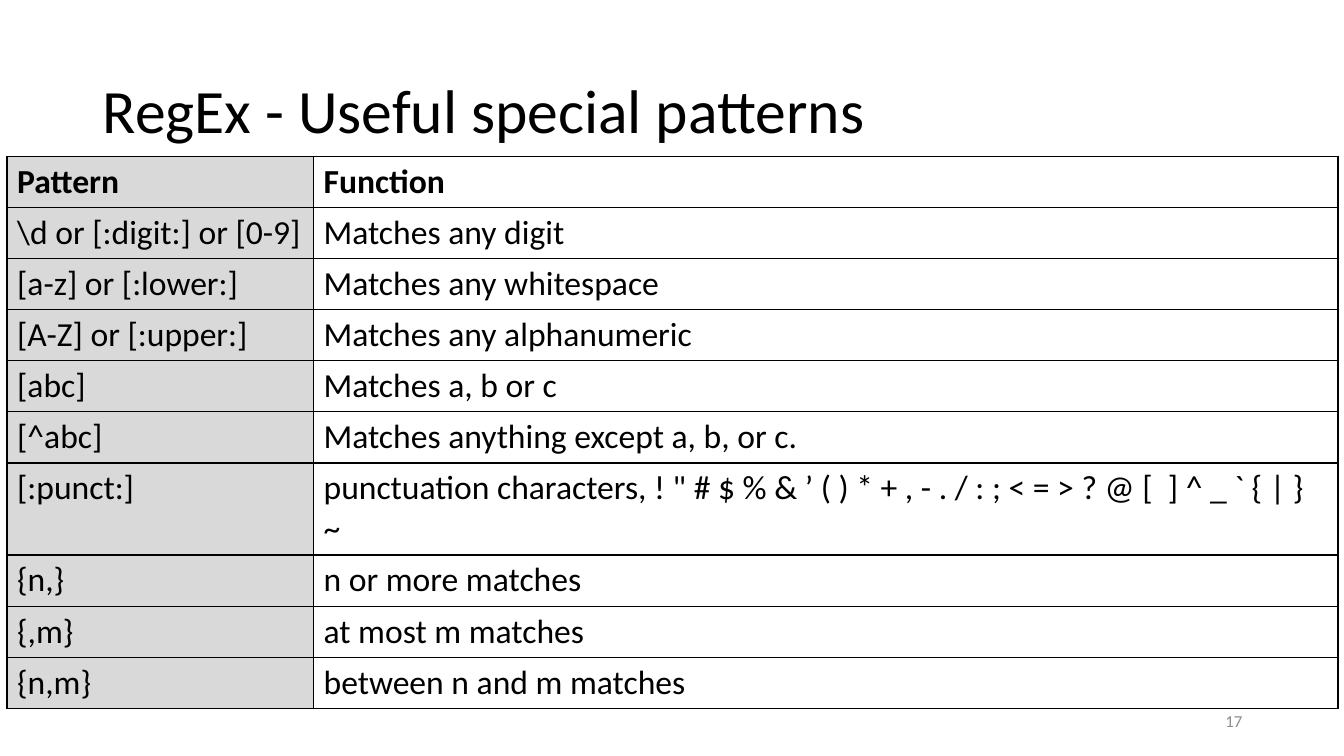
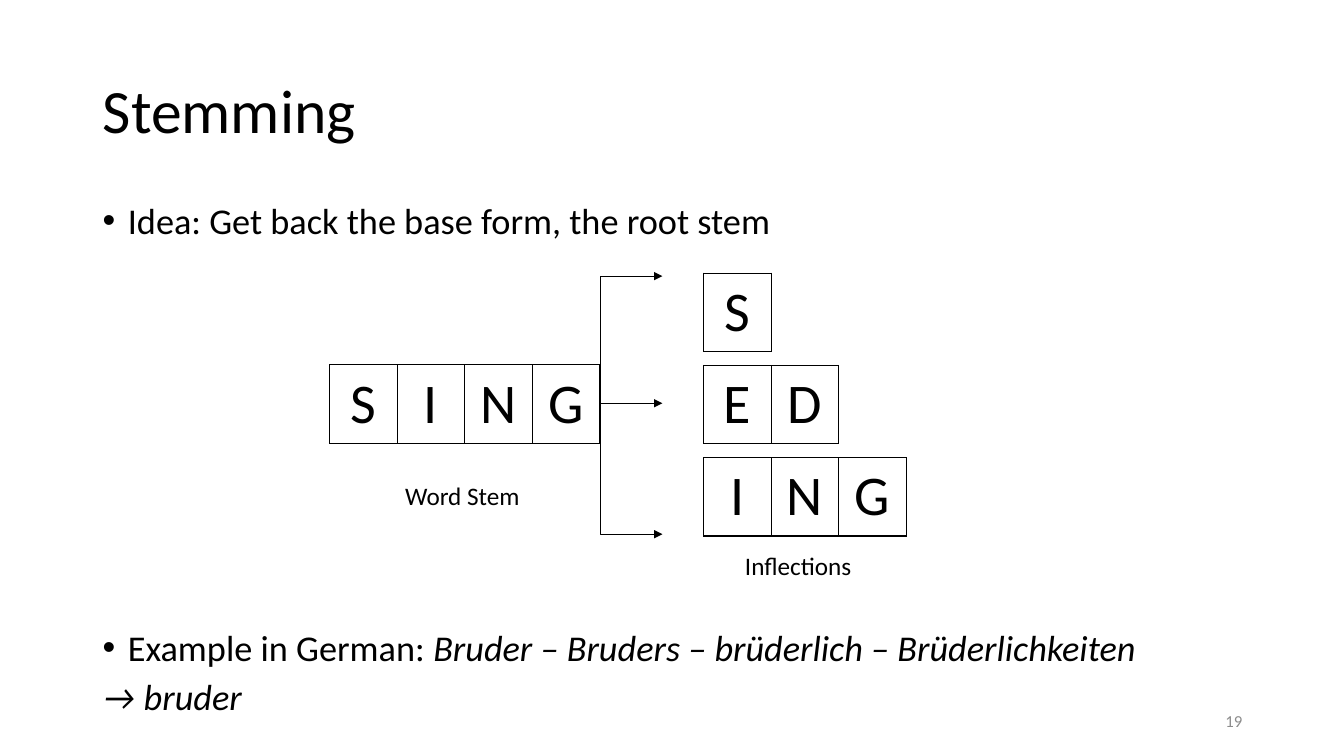
from lxml import etree
from pptx import Presentation
from pptx.dml.color import RGBColor
from pptx.enum.shapes import MSO_CONNECTOR
from pptx.enum.text import MSO_ANCHOR, MSO_AUTO_SIZE, PP_ALIGN
from pptx.oxml.ns import qn
from pptx.util import Inches, Pt

STRAIGHT, ELBOW = MSO_CONNECTOR.STRAIGHT, MSO_CONNECTOR.ELBOW
MIDDLE, TOP = MSO_ANCHOR.MIDDLE, MSO_ANCHOR.TOP
LEFT, CENTER, RIGHT = PP_ALIGN.LEFT, PP_ALIGN.CENTER, PP_ALIGN.RIGHT
NO_AUTOFIT = MSO_AUTO_SIZE.NONE

FONT = "Calibri"
BLACK, GREY, SHADE = "000000", "8C8C8C", "D9D9D9"
TITLE_ONLY = 5
MARGIN, CONTENT_W = 0.92, 11.5
BORDER_TAGS = ("a:lnL", "a:lnR", "a:lnT", "a:lnB")

PATTERNS = [
    ("Pattern", "Function"),
    ("\\d or [:digit:] or [0-9]", "Matches any digit"),
    ("[a-z] or [:lower:]", "Matches any whitespace"),
    ("[A-Z] or [:upper:]", "Matches any alphanumeric"),
    ("[abc]", "Matches a, b or c"),
    ("[^abc]", "Matches anything except a, b, or c."),
    ("[:punct:]", "punctuation characters, ! \" # $ % & ’ ( ) * + , - . / : ; < = > ? @ [  ] ^ _ ` { | } ~"),
    ("{n,}", "n or more matches"),
    ("{,m}", "at most m matches"),
    ("{n,m}", "between n and m matches"),
]

TILE_W, TILE_H = 0.67, 0.77
STEM_X, STEM_Y = 3.27, 3.62
ENDING_X, ENDING_Y, ENDING_STEP = 6.98, 2.71, 0.915
FORK_X, FORK_Y, ARROW_X = 5.95, 4, 6.57


def rgb(hex_color):
    return RGBColor.from_string(hex_color)


def add_run(paragraph, text, size, color=BLACK, **styles):
    run = paragraph.add_run()
    run.text = text
    font_values = {"name": FONT, "size": Pt(size), **styles}
    for attribute, value in font_values.items():
        setattr(run.font, attribute, value)
    run.font.color.rgb = rgb(color)


def format_frame(frame, anchor=TOP, wrap=True):
    values = {"word_wrap": wrap, "auto_size": NO_AUTOFIT, "vertical_anchor": anchor}
    for attribute, value in values.items():
        setattr(frame, attribute, value)


def add_text_box(slide, x, y, width, height, anchor=TOP, wrap=True):
    box = slide.shapes.add_textbox(Inches(x), Inches(y), Inches(width), Inches(height))
    format_frame(box.text_frame, anchor, wrap)
    return box.text_frame


def add_slide(prs, title_text, number):
    slide = prs.slides.add_slide(prs.slide_layouts[TITLE_ONLY])
    title = slide.shapes.title
    place = {"left": MARGIN, "top": 0.4, "width": CONTENT_W, "height": 1.45}
    for attribute, value in place.items():
        setattr(title, attribute, Inches(value))
    format_frame(title.text_frame, MIDDLE)
    heading = title.text_frame.paragraphs[0]
    heading.alignment = LEFT
    heading.line_spacing = 0.9
    add_run(heading, title_text, 44)

    footer = add_text_box(slide, 9.42, 6.95, 3, 0.4, MIDDLE).paragraphs[0]
    footer.alignment = RIGHT
    add_run(footer, str(number), 12, GREY)
    return slide


def set_borders(cell):
    properties = cell._tc.get_or_add_tcPr()
    for position, tag in enumerate(BORDER_TAGS):
        border = etree.Element(qn(tag), w=str(Pt(1)))
        fill = etree.SubElement(border, qn("a:solidFill"))
        etree.SubElement(fill, qn("a:srgbClr"), val=BLACK)
        properties.insert(position, border)


def add_grid(slide, x, y, rows, col_widths, row_height, size,
             align=LEFT, shade_first_col=False, bold_first_row=False):
    """Add a bordered table of one-line texts, without a banded style."""
    frame = slide.shapes.add_table(len(rows), len(col_widths), Inches(x), Inches(y),
                                   Inches(sum(col_widths)), Inches(row_height * len(rows)))
    table = frame.table
    table.first_row = table.horz_banding = False
    for column, width in zip(table.columns, col_widths):
        column.width = Inches(width)
    for r, texts in enumerate(rows):
        table.rows[r].height = Inches(row_height)
        for c, text in enumerate(texts):
            cell = table.cell(r, c)
            if shade_first_col and c == 0:
                cell.fill.solid()
                cell.fill.fore_color.rgb = rgb(SHADE)
            else:
                cell.fill.background()
            set_borders(cell)
            paragraph = cell.text_frame.paragraphs[0]
            paragraph.alignment = align
            add_run(paragraph, text, size, bold=bold_first_row and r == 0)


def add_tiles(slide, x, y, word):
    add_grid(slide, x, y, [word], [TILE_W] * len(word), TILE_H, 40, CENTER)


def add_fork_arrow(slide, end_y):
    """Run vertically from the fork to end_y, then right to the arrowhead."""
    kind = STRAIGHT if end_y == FORK_Y else ELBOW
    arrow = slide.shapes.add_connector(kind, Inches(FORK_X), Inches(FORK_Y),
                                       Inches(ARROW_X), Inches(end_y))
    arrow.line.width = Pt(0.5)
    arrow.line.color.rgb = rgb(BLACK)
    properties = arrow._element.spPr
    etree.SubElement(properties.find(qn("a:ln")), qn("a:tailEnd"), type="triangle")
    etree.SubElement(properties, qn("a:effectLst"))
    if kind == ELBOW:
        adjustments = properties.find(qn("a:prstGeom")).find(qn("a:avLst"))
        etree.SubElement(adjustments, qn("a:gd"), name="adj1", fmla="val 0")


def format_body_line(paragraph, bullet=True):
    paragraph.line_spacing = 0.8
    paragraph.space_before = Pt(10)
    if bullet:
        properties = paragraph._p.get_or_add_pPr()
        properties.set("marL", str(Inches(0.25)))
        properties.set("indent", str(-Inches(0.25)))
        etree.SubElement(properties, qn("a:buFont"), typeface="Arial")
        etree.SubElement(properties, qn("a:buChar"), char="•")


def add_caption(slide, x, y, text):
    caption = add_text_box(slide, x, y, 1.38, 0.4, wrap=False)
    add_run(caption.paragraphs[0], text, 18)


def build_patterns(prs):
    slide = add_slide(prs, "RegEx - Useful special patterns", 17)
    add_grid(slide, 0.07, 1.55, PATTERNS, [3.04, 10.16], 0.47, 24,
             shade_first_col=True, bold_first_row=True)


def build_stemming(prs):
    slide = add_slide(prs, "Stemming", 19)
    size = 25.9

    idea = add_text_box(slide, MARGIN, 2, CONTENT_W, 0.5).paragraphs[0]
    format_body_line(idea)
    add_run(idea, "Idea: Get back the base form, the root stem", size)

    example_frame = add_text_box(slide, MARGIN, 6.24, CONTENT_W, 0.98)
    example = example_frame.paragraphs[0]
    format_body_line(example)
    add_run(example, "Example in German: ", size)
    add_run(example, "Bruder – Bruders – brüderlich – Brüderlichkeiten", size, italic=True)
    result = example_frame.add_paragraph()
    format_body_line(result, bullet=False)
    add_run(result, "→ bruder", size, italic=True)

    add_tiles(slide, STEM_X, STEM_Y, "SING")
    for row, ending in enumerate(("S", "ED", "ING")):
        add_tiles(slide, ENDING_X, ENDING_Y + row * ENDING_STEP, ending)
    for end_y in (2.74, FORK_Y, 5.3):
        add_fork_arrow(slide, end_y)
    add_caption(slide, 3.92, 4.72, "Word Stem")
    add_caption(slide, 7.29, 5.41, "Inflections")


def main():
    prs = Presentation()
    prs.slide_width, prs.slide_height = Inches(13.33), Inches(7.5)
    build_patterns(prs)
    build_stemming(prs)
    prs.save("out.pptx")


if __name__ == "__main__":
    main()
